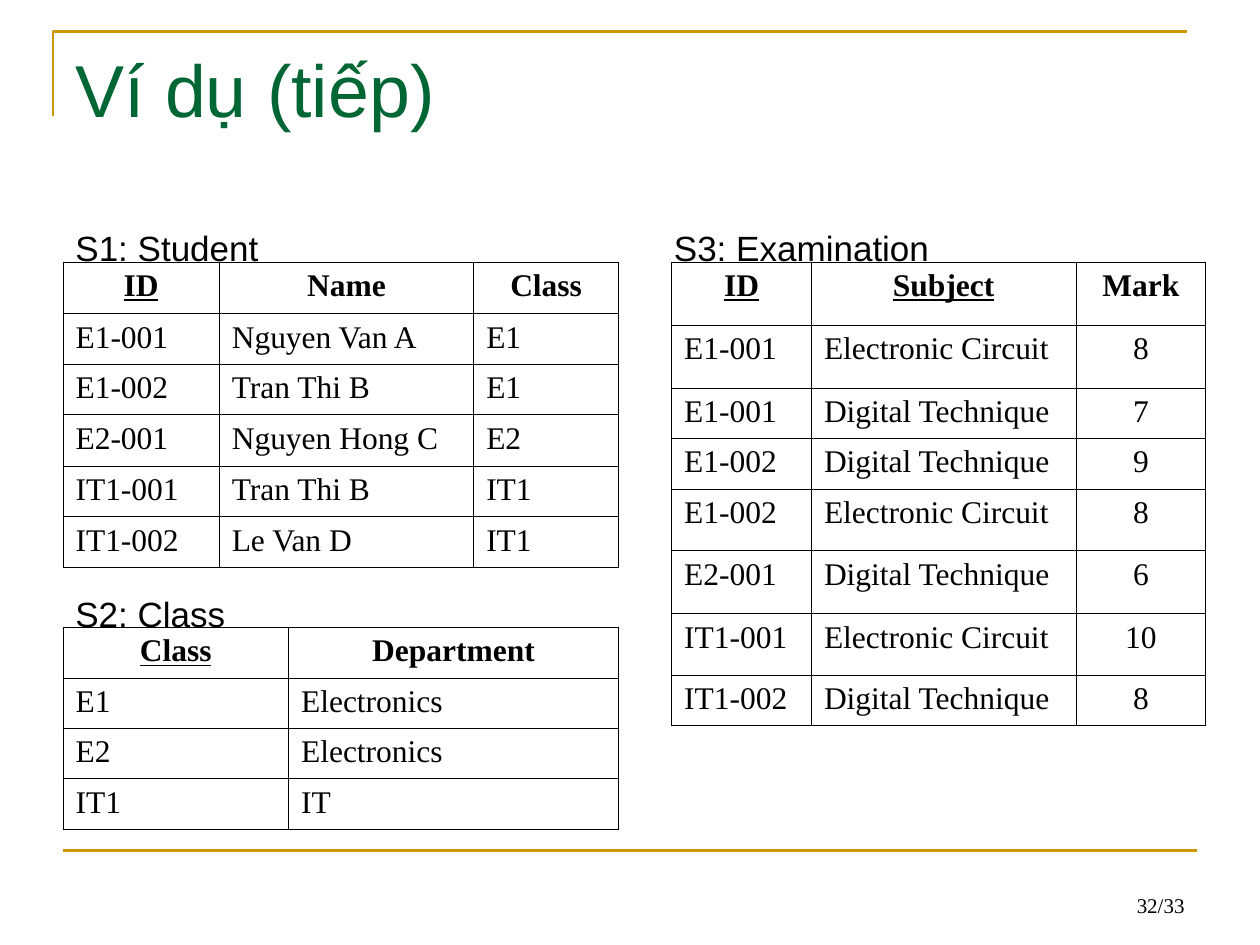
from dataclasses import dataclass

from lxml import etree
from pptx import Presentation
from pptx.dml.color import RGBColor
from pptx.enum.shapes import MSO_CONNECTOR as Connector
from pptx.enum.text import MSO_ANCHOR as Anchor, PP_ALIGN as Align
from pptx.oxml.ns import qn
from pptx.util import Inches, Pt


@dataclass(frozen=True)
class Theme:
    title_color: RGBColor = RGBColor(0x00, 0x66, 0x33)
    rule_color: RGBColor = RGBColor(0xCC, 0x99, 0x00)
    ink: RGBColor = RGBColor(0x00, 0x00, 0x00)
    sans: str = "Arial"
    serif: str = "Times New Roman"
    title_size: float = 42
    label_size: float = 20
    cell_size: float = 18
    number_size: float = 12
    rule_width: float = 1.5
    border_width: float = 0.45


def write_text(frame, text, *, size, font, color, align=Align.LEFT,
               bold=False, underline=False):
    paragraph = frame.paragraphs[0]
    paragraph.alignment = align
    run = paragraph.add_run()
    run.text = text
    run.font.size = Pt(size)
    run.font.name = font
    run.font.color.rgb = color
    run.font.bold = bold
    run.font.underline = underline


class SlideBuilder:
    def __init__(self, slide, theme):
        self.slide = slide
        self.theme = theme

    def style_rule(self, line):
        line.color.rgb = self.theme.rule_color
        line.width = Pt(self.theme.rule_width)

    def corner(self, *points):
        (start, *others) = [(Inches(x), Inches(y)) for x, y in points]
        builder = self.slide.shapes.build_freeform(*start)
        builder.add_line_segments(others, close=False)
        shape = builder.convert_to_shape()
        shape.shadow.inherit = False
        shape.fill.background()
        self.style_rule(shape.line)

    def rule(self, left, right, top):
        connector = self.slide.shapes.add_connector(
            Connector.STRAIGHT, Inches(left), Inches(top), Inches(right), Inches(top))
        self.style_rule(connector.line)
        etree.SubElement(connector.line._get_or_add_ln().getparent(), qn("a:effectLst"))

    def text_box(self, text, left, top, width, height, anchor=Anchor.TOP, **style):
        shape = self.slide.shapes.add_textbox(
            Inches(left), Inches(top), Inches(width), Inches(height))
        frame = shape.text_frame
        frame.word_wrap = True
        frame.vertical_anchor = anchor
        write_text(frame, text, **style)

    def label(self, text, left, top, width):
        self.text_box(text, left, top, width, 0.44, size=self.theme.label_size,
                      font=self.theme.sans, color=self.theme.ink)

    def border(self, cell):
        properties = cell._tc.get_or_add_tcPr()
        for side in ("lnL", "lnR", "lnT", "lnB"):
            line = etree.SubElement(properties, qn(f"a:{side}"),
                                    w=str(int(Pt(self.theme.border_width))))
            fill = etree.SubElement(line, qn("a:solidFill"))
            etree.SubElement(fill, qn("a:srgbClr"), val=str(self.theme.ink))

    def table(self, rows, left, top, widths, heights, keys=(), centered=()):
        table = self.slide.shapes.add_table(
            len(rows), len(widths), Inches(left), Inches(top),
            Inches(sum(widths)), Inches(sum(heights))).table
        table.first_row = table.horz_banding = False
        for column, width in zip(table.columns, widths):
            column.width = Inches(width)
        for i, (values, height) in enumerate(zip(rows, heights)):
            table.rows[i].height = Inches(height)
            header = i == 0
            for j, value in enumerate(values):
                cell = table.cell(i, j)
                self.border(cell)
                cell.fill.background()
                write_text(cell.text_frame, value, size=self.theme.cell_size,
                           font=self.theme.serif, color=self.theme.ink,
                           align=Align.CENTER if header or j in centered else Align.LEFT,
                           bold=header, underline=header and j in keys)


STUDENTS = [
    ("ID", "Name", "Class"),
    ("E1-001", "Nguyen Van A", "E1"),
    ("E1-002", "Tran Thi B", "E1"),
    ("E2-001", "Nguyen Hong C", "E2"),
    ("IT1-001", "Tran Thi B", "IT1"),
    ("IT1-002", "Le Van D", "IT1"),
]
CLASSES = [
    ("Class", "Department"),
    ("E1", "Electronics"),
    ("E2", "Electronics"),
    ("IT1", "IT"),
]
EXAMINATIONS = [
    ("ID", "Subject", "Mark"),
    ("E1-001", "Electronic Circuit", "8"),
    ("E1-001", "Digital Technique", "7"),
    ("E1-002", "Digital Technique", "9"),
    ("E1-002", "Electronic Circuit", "8"),
    ("E2-001", "Digital Technique", "6"),
    ("IT1-001", "Electronic Circuit", "10"),
    ("IT1-002", "Digital Technique", "8"),
]


def main():
    presentation = Presentation()
    presentation.slide_width = Inches(10)
    presentation.slide_height = Inches(7.5)
    slide = presentation.slides.add_slide(presentation.slide_layouts[6])
    theme = Theme()
    builder = SlideBuilder(slide, theme)

    # Frame lines
    builder.corner((0.42, 0.92), (0.42, 0.25), (9.42, 0.25))
    builder.rule(0.5, 9.5, 6.75)

    # Title and page number
    builder.text_box("Ví dụ (tiếp)", 0.5, 0.3, 9, 1.25, size=theme.title_size,
                     font=theme.sans, color=theme.title_color)
    builder.text_box("32/33", 7.17, 6.83, 2.33, 0.5, anchor=Anchor.BOTTOM,
                     size=theme.number_size, font=theme.serif, color=theme.ink,
                     align=Align.RIGHT)

    # Relation tables
    builder.table(STUDENTS, 0.5, 2.08, (1.24, 2.02, 1.15),
                  (0.41, 0.4, 0.4, 0.41, 0.4, 0.4), keys=(0,))
    builder.table(CLASSES, 0.5, 4.98, (1.79, 2.62), [0.4] * len(CLASSES), keys=(0,))
    builder.table(EXAMINATIONS, 5.33, 2.08, (1.11, 2.1, 1.03),
                  (0.5, 0.5, 0.4, 0.4, 0.49, 0.5, 0.49, 0.4),
                  keys=(0, 1), centered=(2,))

    # Table labels
    builder.label("S1: Student", 0.5, 1.75, 1.75)
    builder.label("S2: Class", 0.5, 4.65, 1.67)
    builder.label("S3: Examination", 5.25, 1.75, 2.25)

    presentation.save("out.pptx")


if __name__ == "__main__":
    main()
